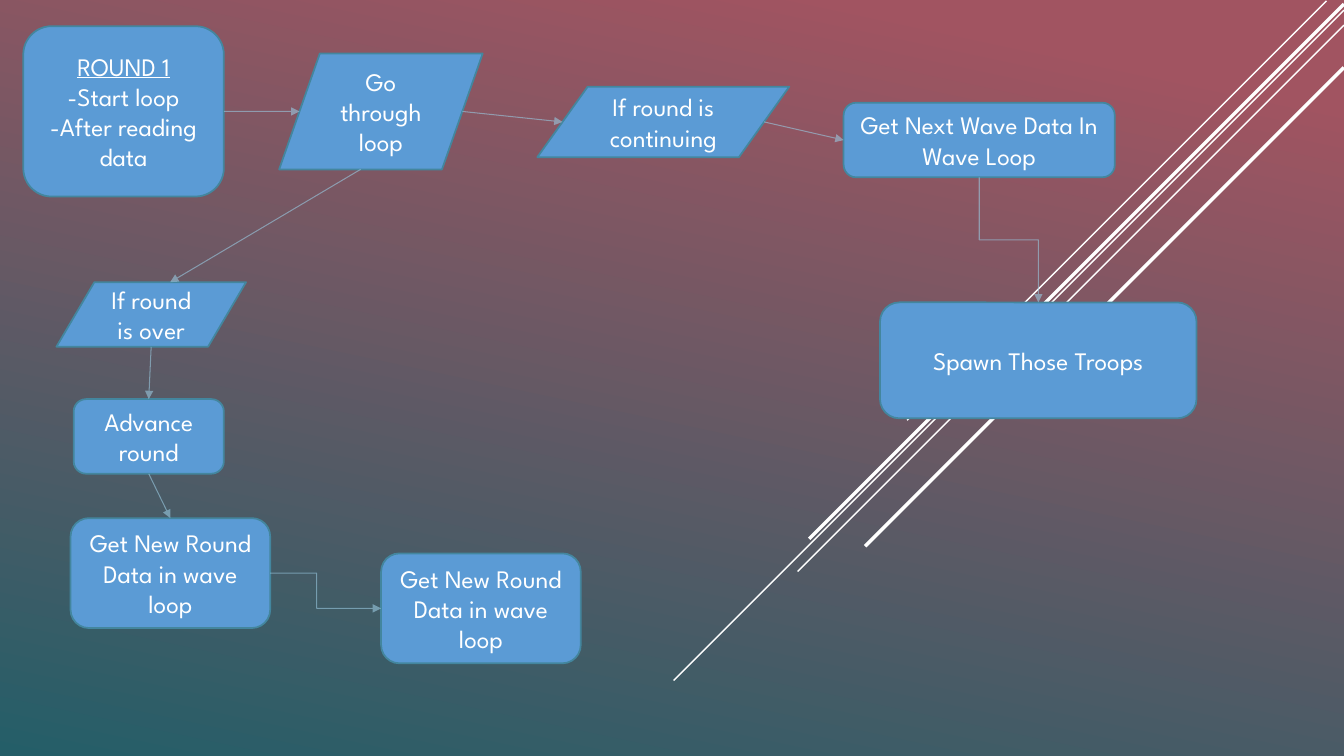
import pptx
import pptx.util
import pptx.dml.color
import pptx.enum.shapes
import pptx.enum.text
import pptx.oxml.ns
from dataclasses import dataclass

Pt = pptx.util.Pt
SHAPE = pptx.enum.shapes.MSO_SHAPE
CONNECTOR = pptx.enum.shapes.MSO_CONNECTOR


@dataclass(frozen=True)
class Theme:
    font: str = "League Spartan"
    text_size: float = 18
    text: str = "FFFFFF"
    fill: str = "5B9BD5"
    outline: str = "43869E"
    outline_width: float = 1.25
    arrow: str = "99C9E0"
    arrow_width: float = 0.75
    arrow_alpha: int = 60
    streak: str = "FFFFFF"
    background: tuple = ((0.1, "A15461"), (1, "245E68"))
    background_angle: int = 102


def rgb(value):
    return pptx.dml.color.RGBColor.from_string(value)


def first(shape, tag):
    return next(shape._element.iter(pptx.oxml.ns.qn(tag)))


def add_child(parent, tag, **attributes):
    parent.append(parent.makeelement(pptx.oxml.ns.qn(tag), attributes))


def site(box, across, down):
    """Point on a box, given as fractions of its width and height."""
    return box.left.pt + across * box.width.pt, box.top.pt + down * box.height.pt


class FlowPage:
    def __init__(self, page, theme):
        self.page, self.theme = page, theme

    def background(self):
        fill = self.page.background.fill
        fill.gradient()
        fill.gradient_angle = 360 - self.theme.background_angle
        for stop, (position, color) in zip(fill.gradient_stops, self.theme.background):
            stop.position = position
            stop.color.rgb = rgb(color)

    def step(self, kind, left, top, width, height, text):
        theme = self.theme
        box = self.page.shapes.add_shape(kind, Pt(left), Pt(top), Pt(width), Pt(height))
        box.shadow.inherit = False
        box.fill.solid()
        box.fill.fore_color.rgb = rgb(theme.fill)
        box.line.color.rgb = rgb(theme.outline)
        box.line.width = Pt(theme.outline_width)
        frame = box.text_frame
        frame.word_wrap = True
        frame.vertical_anchor = pptx.enum.text.MSO_ANCHOR.MIDDLE
        frame.text = text
        for para in frame.paragraphs:
            para.alignment = pptx.enum.text.PP_ALIGN.CENTER
            for span in para.runs:
                span.font.name = theme.font
                span.font.size = Pt(theme.text_size)
                span.font.color.rgb = rgb(theme.text)
        return box

    def line(self, start, end, color, width, kind=CONNECTOR.STRAIGHT):
        line = self.page.shapes.add_connector(kind, *(Pt(v) for v in (*start, *end)))
        line.line.color.rgb = rgb(color)
        line.line.width = Pt(width)
        add_child(first(line, "p:spPr"), "a:effectLst")
        return line

    def arrow(self, start, end, kind=CONNECTOR.STRAIGHT):
        theme = self.theme
        arrow = self.line(start, end, theme.arrow, theme.arrow_width, kind)
        add_child(first(arrow, "a:srgbClr"), "a:alpha", val=str(theme.arrow_alpha * 1000))
        add_child(first(arrow, "a:ln"), "a:tailEnd", type="triangle")
        return arrow

    def elbow_across(self, start, end, bend):
        elbow = self.arrow(start, end, CONNECTOR.ELBOW)
        add_child(first(elbow, "a:avLst"), "a:gd", name="adj1",
                  fmla=f"val {round(bend * 100000)}")

    def elbow_down(self, start, end):
        """Leaves downwards: the horizontal elbow is turned and mirrored."""
        (x1, y1), (x2, y2) = start, end
        run, rise = y2 - y1, x2 - x1
        left, top = (x1 + x2 - run) / 2, (y1 + y2 - rise) / 2
        elbow = self.arrow((left, top), (left + run, top + rise), CONNECTOR.ELBOW)
        frame = first(elbow, "a:xfrm")
        frame.set("rot", str(270 * 60000))
        frame.set("flipH", "1")


deck = pptx.Presentation()
deck.slide_width, deck.slide_height = Pt(960), Pt(540)
flow = FlowPage(deck.slides.add_slide(deck.slide_layouts[6]), Theme())
flow.background()

# Diagonal streaks at 45 degrees: right end, drop, width
for x, y, drop, width in [(947.5, 0.7, 299.5, 1), (960, 7.2, 478.8, 1), (960, 18, 390.2, 1),
                          (960, 2.9, 382, 2.5), (960, 48.2, 342, 2.5)]:
    flow.line((x, y), (x - drop, y + drop), flow.theme.streak, width)

# Steps of the flow
PROCESS, DATA, ROUNDED = (SHAPE.FLOWCHART_ALTERNATE_PROCESS, SHAPE.FLOWCHART_DATA,
                          SHAPE.ROUNDED_RECTANGLE)
NEW_ROUND = "Get New Round Data in wave loop"
start = flow.step(PROCESS, 16.6, 18.7, 143.3, 121.7,
                  "ROUND 1\n-Start loop\n-After reading data")
start.text_frame.paragraphs[0].runs[0].font.underline = True
loop = flow.step(DATA, 199.4, 38.2, 145.4, 82.8, "Go through loop")
continuing = flow.step(DATA, 383.8, 61.9, 180, 50.4, "If round is continuing")
over = flow.step(DATA, 40.3, 201.6, 135.4, 46.1, "If round is over")
advance = flow.step(ROUNDED, 52.6, 285.1, 107.3, 53.3, "Advance round")
next_wave = flow.step(ROUNDED, 602.6, 73.4, 193.7, 53.3, "Get Next Wave Data In Wave Loop")
new_round = flow.step(PROCESS, 50.4, 370.1, 142.6, 78.5, NEW_ROUND)
new_round_again = flow.step(PROCESS, 272.2, 395.3, 142.6, 78.5, NEW_ROUND)
spawn = flow.step(PROCESS, 628.6, 216, 226.1, 82.8, "Spawn Those Troops")

# Arrows: slanted boxes are met a tenth in from their sides
TOP, BOTTOM, LEFT, RIGHT = (0.5, 0), (0.5, 1), (0, 0.5), (1, 0.5)
SLANT_TOP, SLANT_BOTTOM, SLANT_LEFT, SLANT_RIGHT = (0.6, 0), (0.4, 1), (0.1, 0.5), (0.9, 0.5)
for source, leave, target, enter in [
    (start, RIGHT, loop, SLANT_LEFT),
    (loop, SLANT_BOTTOM, over, SLANT_TOP),
    (loop, SLANT_RIGHT, continuing, SLANT_LEFT),
    (over, BOTTOM, advance, TOP),
    (continuing, SLANT_RIGHT, next_wave, LEFT),
    (advance, BOTTOM, new_round, TOP),
]:
    flow.arrow(site(source, *leave), site(target, *enter))
flow.elbow_down(site(next_wave, *BOTTOM), site(spawn, *TOP))
flow.elbow_across(site(new_round, *RIGHT), site(new_round_again, *LEFT), 0.42)

deck.save("out.pptx")
